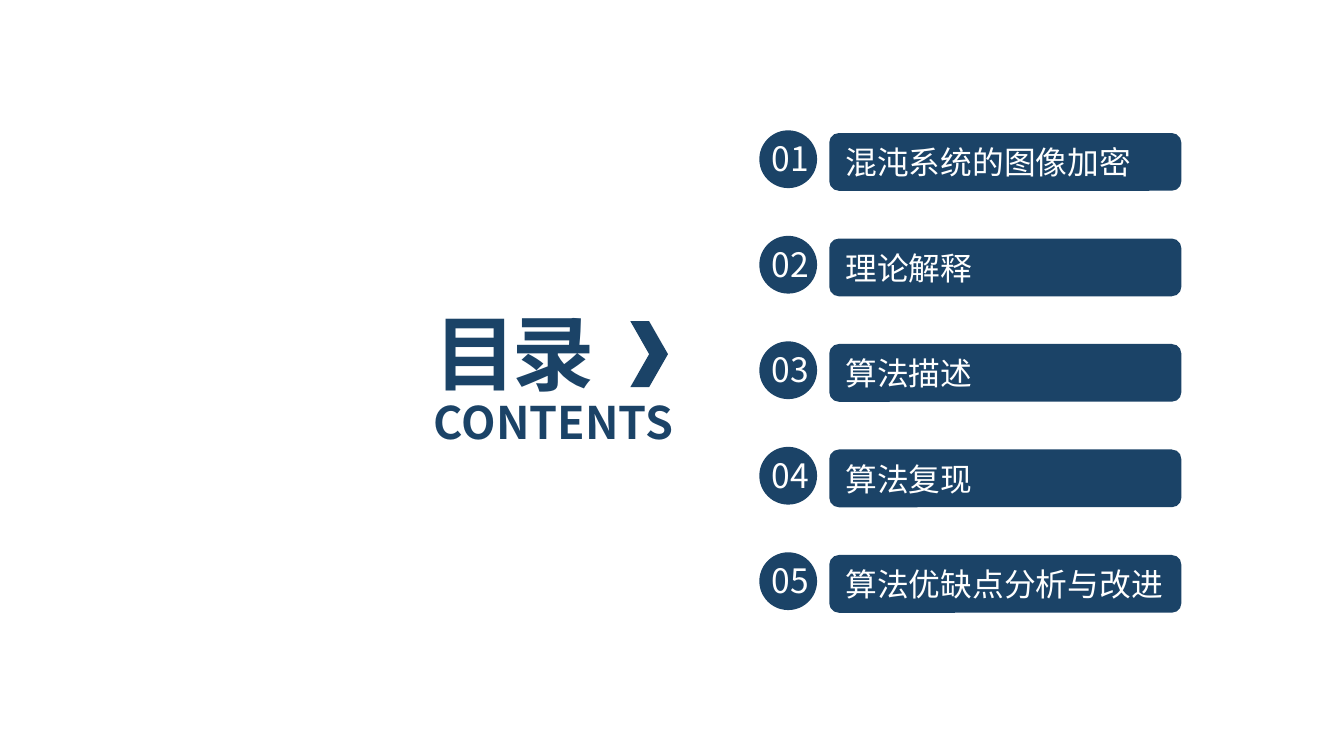
from pptx import Presentation
from pptx.dml.color import RGBColor
from pptx.enum.shapes import MSO_SHAPE
from pptx.enum.text import MSO_ANCHOR, PP_ALIGN
from pptx.oxml.ns import qn
from pptx.util import Inches, Pt
from lxml.etree import SubElement

WIDE = 10
HIGH = WIDE * 9 / 16
FONT = "Noto Sans CJK SC"
NAVY, WHITE = "1B4367", "FFFFFF"
TOPICS = ["混沌系统的图像加密", "理论解释", "算法描述", "算法复现", "算法优缺点分析与改进"]


def tint(code):
    return RGBColor.from_string(code)


def inch(*box):
    return [Inches(n) for n in box]


def write(shape, text, size, color=WHITE, bold=False, align=PP_ALIGN.LEFT, gap=0):
    """Put one formatted line of text in a shape, centred vertically."""
    frame = shape.text_frame
    frame.word_wrap = True
    frame.vertical_anchor = MSO_ANCHOR.MIDDLE
    line = frame.paragraphs[0]
    line.alignment = align
    run = line.add_run()
    run.text = text
    font = run.font
    font.size, font.bold, font.name = Pt(size), bold, FONT
    font.color.rgb = tint(color)
    props = run._r.get_or_add_rPr()
    SubElement(props, qn("a:ea")).set("typeface", FONT)
    if gap:
        props.set("spc", str(round(gap * 100)))


def draw(shapes, kind, *box):
    """Add a flat navy preset shape."""
    shape = shapes.add_shape(kind, *inch(*box))
    shape.shadow.inherit = False
    shape.fill.solid()
    shape.fill.fore_color.rgb = tint(NAVY)
    shape.line.fill.background()
    return shape


def heading(slide, left, top, width):
    """Title, chevron and subtitle."""
    title = slide.shapes.title
    title.left, title.top, title.width, title.height = inch(left, top, width, 0.84)
    write(title, "目录", 44, color=NAVY, bold=True, gap=-2.2)
    under = slide.shapes.add_textbox(*inch(left, top + 0.69, width - 0.04, 0.5))
    write(under, "CONTENTS", 24, color=NAVY, bold=True)
    draw(slide.shapes, MSO_SHAPE.CHEVRON, left + 1.56, top + 0.19, 0.28, 0.49)


def entry(slide, left, top, width, number, topic):
    """One topic bar with its number badge."""
    size, inset = 0.43, 0.52
    bar = draw(slide.shapes, MSO_SHAPE.ROUNDED_RECTANGLE,
               left + inset, top + 0.02, width - inset, size)
    write(bar, topic, 17)
    badge = slide.shapes.add_group_shape().shapes
    draw(badge, MSO_SHAPE.OVAL, left, top, size, size)
    label = badge.add_textbox(*inch(left - 0.03, top + 0.01, 0.52, 0.4))
    write(label, f"{number:02}", 18, align=PP_ALIGN.CENTER)


def agenda(slide, left, top, width, height):
    """Topics with equal steps from the first top to the last top."""
    step = height / (len(TOPICS) - 1)
    for i, topic in enumerate(TOPICS):
        entry(slide, left, top + i * step, width, i + 1, topic)


def main():
    deck = Presentation()
    deck.slide_width, deck.slide_height = inch(WIDE, HIGH)
    slide = deck.slides.add_slide(deck.slide_layouts[5])
    slide.background.fill.solid()
    slide.background.fill.fore_color.rgb = tint(WHITE)
    heading(slide, 3.13, 2.2, 2.35)
    agenda(slide, 5.65, 0.97, 3.14, 3.14)
    deck.save("out.pptx")


if __name__ == "__main__":
    main()
